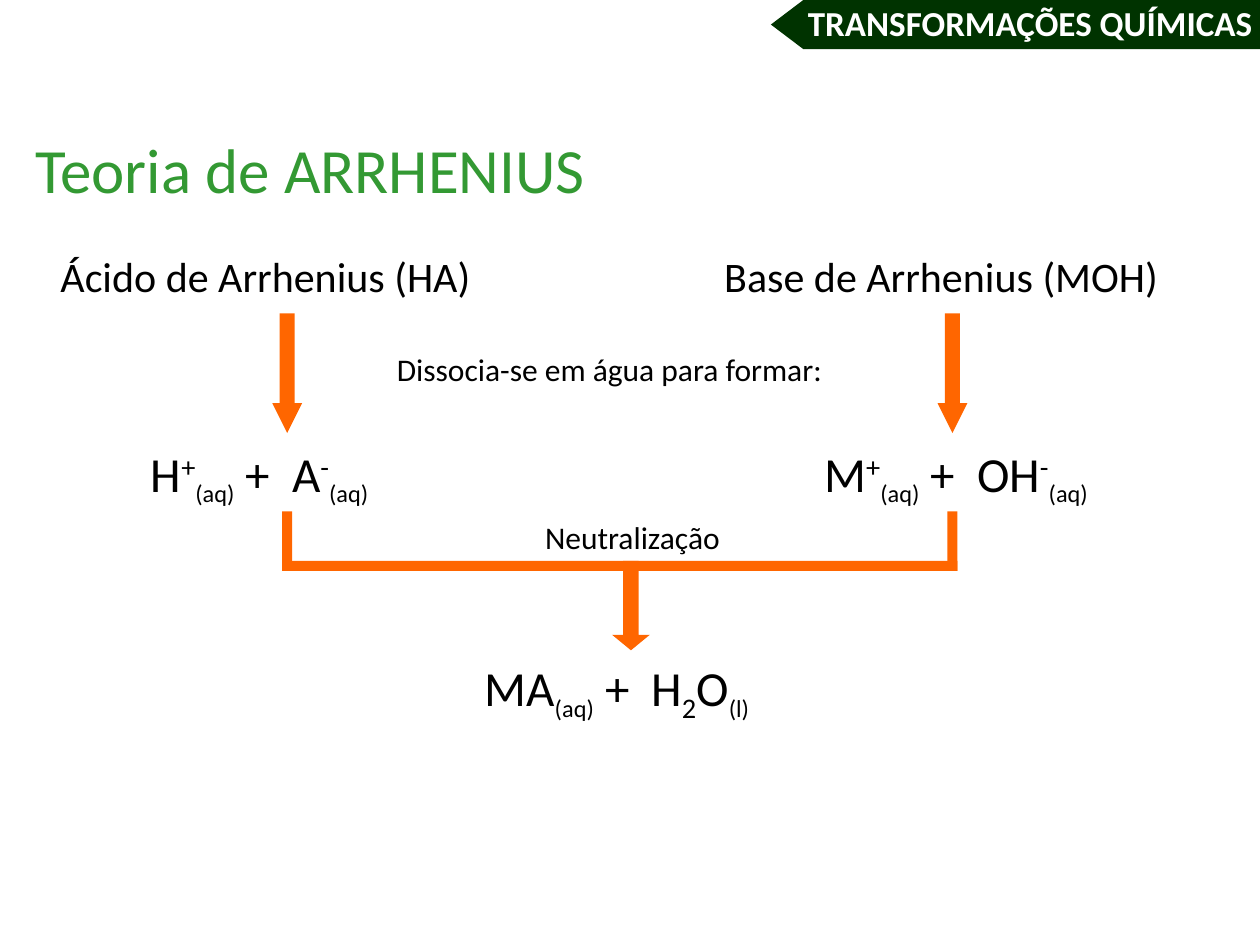
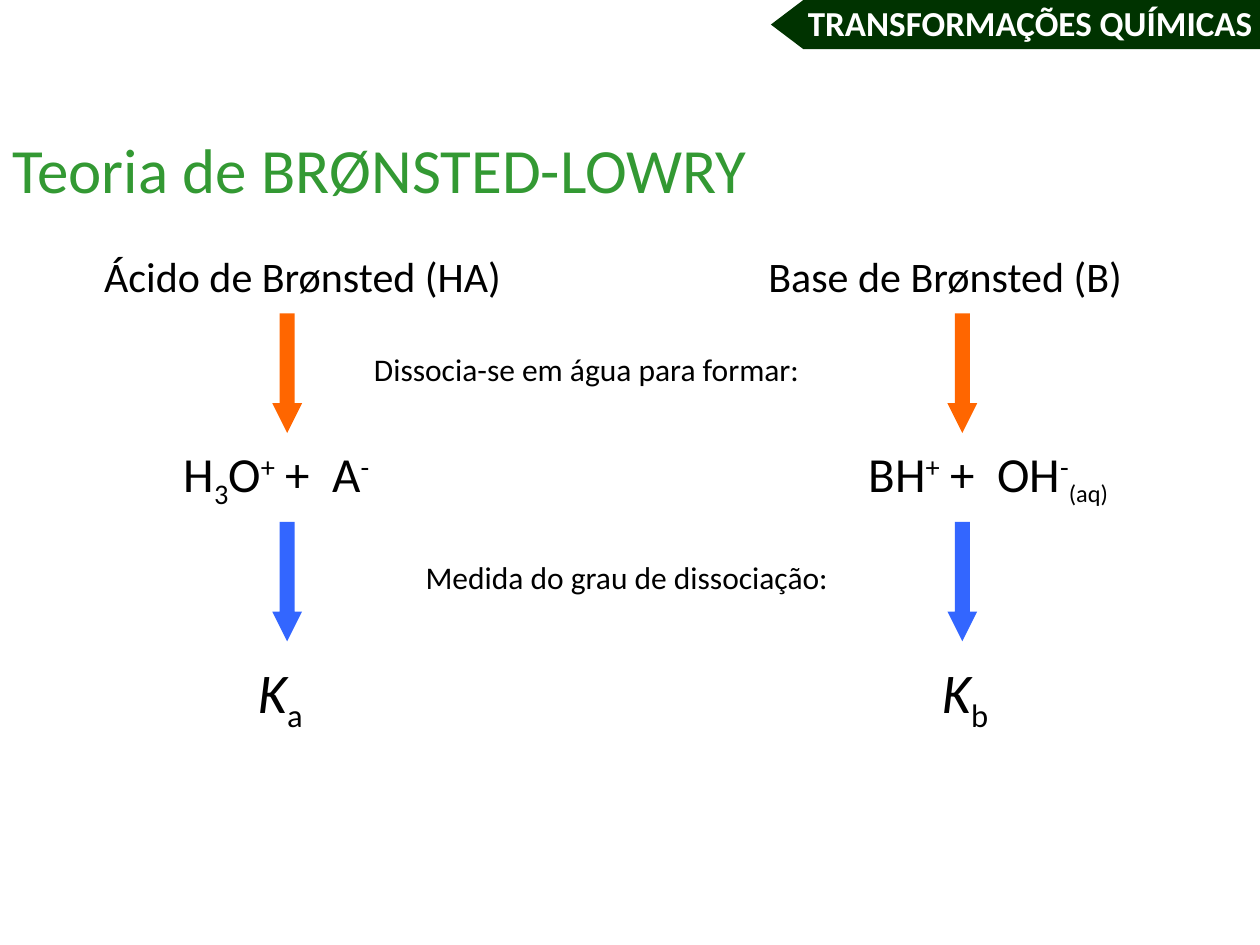
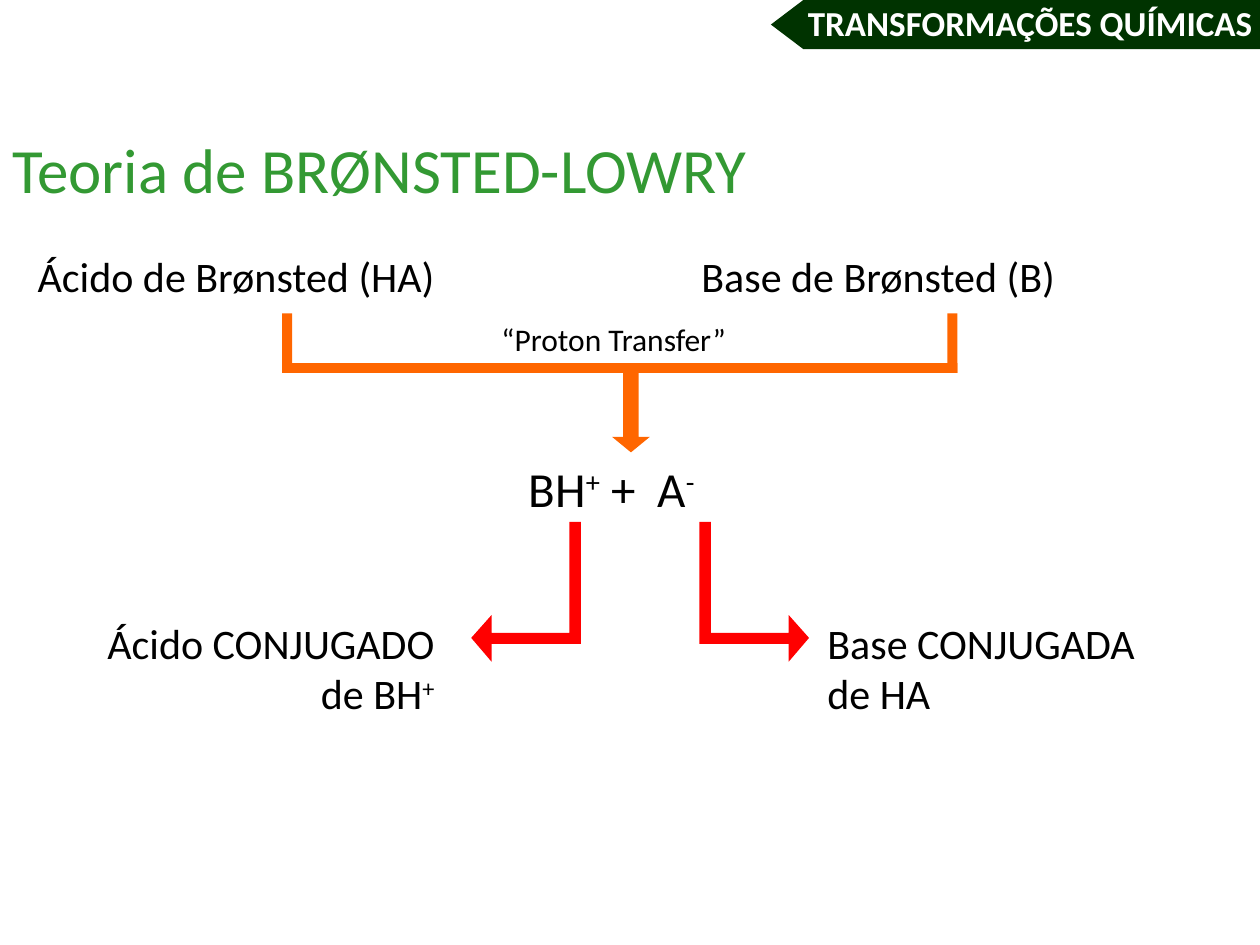
from collections import namedtuple

from pptx import Presentation
from pptx.dml.color import RGBColor
from pptx.enum.shapes import MSO_SHAPE
from pptx.enum.text import PP_ALIGN
from pptx.util import Cm, Pt

RECTANGLE = MSO_SHAPE.RECTANGLE
DOWN_ARROW = MSO_SHAPE.DOWN_ARROW
PENTAGON = MSO_SHAPE.PENTAGON
LEFT, CENTER, RIGHT = PP_ALIGN.LEFT, PP_ALIGN.CENTER, PP_ALIGN.RIGHT

FONT = "Calibri"
BLACK, WHITE = "000000", "FFFFFF"
DARK_GREEN, GREEN = "003300", "339933"
ORANGE, BLUE, RED = "FF6600", "3366FF", "FF0000"

Box = namedtuple("Box", "left top width height")
Style = namedtuple("Style", "baseline shrink italic spacing", defaults=(0, 0, False, 0))
PLAIN = Style()
RAISED = Style(baseline=30000)
LOWERED = Style(baseline=-25000)
STATE = Style(baseline=-25000, shrink=4)
ITALIC = Style(italic=True)
WIDE = Style(spacing=630)

PLUS = [(" +", PLAIN), (" ", WIDE)]
AQUEOUS = ("(aq)", STATE)
CATION = ("+", RAISED)
ANION = ("-", RAISED)

LABEL_TOP, ARROW_TOP, FORMULA_TOP = 4.93, 6.32, 8.81
CAPTION_TOP, RESULT_TOP = 6.93, 13.13
ARROW_LEFT = 5.49
BRACKET_LEFT, BRACKET_WIDTH = 5.69, 13.61


def color(value):
    return RGBColor.from_string(value)


def paint(shape, fill):
    shape.shadow.inherit = False
    shape.fill.solid()
    shape.fill.fore_color.rgb = color(fill)
    shape.line.fill.background()
    return shape


def add_block(page, kind, box, fill):
    shape = page.shapes.add_shape(kind, *(Cm(length) for length in box))
    return paint(shape, fill)


def add_text(page, box, lines, size, ink=BLACK, align=LEFT, bold=False):
    frame = page.shapes.add_textbox(*(Cm(length) for length in box)).text_frame
    frame.word_wrap = True
    for index, line in enumerate(lines):
        para = frame.paragraphs[0] if index == 0 else frame.add_paragraph()
        para.alignment = align
        for text, style in line:
            span = para.add_run()
            span.text = text
            span.font.name = FONT
            span.font.size = Pt(size - style.shrink)
            span.font.bold = bold
            span.font.italic = style.italic
            span.font.color.rgb = color(ink)
            properties = span.font._element
            if style.baseline:
                properties.set("baseline", str(style.baseline))
            if style.spacing:
                properties.set("spc", str(style.spacing))


def add_header(page, box):
    band = add_block(page, PENTAGON, box, DARK_GREEN)
    band.rotation = 180
    band.adjustments[0] = 0.66
    words = Box(box.left + 0.44, box.top - 0.1, 9.58, 1.12)
    add_text(page, words, [[("TRANSFORMAÇÕES QUÍMICAS", PLAIN)]], 20, WHITE, CENTER, True)


def add_title(page, left, width, text):
    add_text(page, Box(left, 2.51, width, 1.8), [[(text, PLAIN)]], 36, GREEN)


def add_label(page, left, width, text):
    add_text(page, Box(left, LABEL_TOP, width, 1.3), [[(text, PLAIN)]], 24)


def add_caption(page, left, top, width, text):
    add_text(page, Box(left, top, width, 1.02), [[(text, PLAIN)]], 18)


def add_formula(page, left, top, width, spans, size=28):
    add_text(page, Box(left, top, width, 1.45), [spans], size)


def add_arrow(page, box, fill, shaft, head):
    arrow = add_block(page, DOWN_ARROW, box, fill)
    arrow.adjustments[0] = shaft
    arrow.adjustments[1] = head


def add_arrow_pair(page, lefts, top, fill):
    for left in lefts:
        add_arrow(page, Box(left, top, 0.6, 2.41), fill, 0.5, 1.0)


def add_bracket(page, box):
    bar = 0.2
    for left in (box.left, box.left + box.width - bar):
        add_block(page, RECTANGLE, Box(left, box.top, bar, box.height), ORANGE)
    bar_top = box.top + box.height - bar
    add_block(page, RECTANGLE, Box(box.left, bar_top, box.width, bar), ORANGE)
    add_arrow(page, Box(box.left + 6.65, bar_top, 0.76, 1.8), ORANGE, 0.41, 0.41)


def add_elbow_arrow(page, left, top, direction):
    outline = [(0, 0), (0, 2.46), (1.8, 2.46), (1.8, 2.82), (2.21, 2.34),
               (1.8, 1.88), (1.8, 2.24), (0.23, 2.24), (0.23, 0)]
    points = [(Cm(left + direction * across), Cm(top + down)) for across, down in outline]
    builder = page.shapes.build_freeform(*points[0], scale=1.0)
    builder.add_line_segments(points[1:], close=True)
    paint(builder.convert_to_shape(), RED)


def start_page(deck, title, left, width):
    page = deck.slides.add_slide(deck.slide_layouts[6])
    add_header(page, Box(15.54, 0, 9.93, 0.99))
    add_title(page, left, width, title)
    return page


def build_arrhenius(deck):
    page = start_page(deck, "Teoria de ARRHENIUS", 0.46, 11.71)
    add_label(page, 0.97, 8.86, "Ácido de Arrhenius (HA)")
    add_label(page, 14.35, 9.35, "Base de Arrhenius (MOH)")
    add_caption(page, 7.75, CAPTION_TOP, 9.2, "Dissocia-se em água para formar:")
    add_arrow_pair(page, (ARROW_LEFT, 18.9), ARROW_TOP, ORANGE)
    add_formula(page, 2.79, FORMULA_TOP, 5.56,
                [("H", PLAIN), CATION, AQUEOUS, *PLUS, ("A", PLAIN), ANION, AQUEOUS])
    add_formula(page, 16.37, FORMULA_TOP, 6.5,
                [("M", PLAIN), CATION, AQUEOUS, *PLUS, ("OH", PLAIN), ANION, AQUEOUS])
    add_bracket(page, Box(BRACKET_LEFT, 10.31, BRACKET_WIDTH, 1.2))
    add_caption(page, 10.74, 10.31, 4.06, "Neutralização")
    add_formula(page, 9.52, RESULT_TOP, 6.45,
                [("MA", PLAIN), AQUEOUS, *PLUS, ("H", PLAIN), ("2", LOWERED),
                 ("O", PLAIN), ("(l)", STATE)])


def build_bronsted(deck):
    page = start_page(deck, "Teoria de BRØNSTED-LOWRY", 0, 15.44)
    add_label(page, 1.85, 8.59, "Ácido de Brønsted (HA)")
    add_label(page, 15.24, 7.72, "Base de Brønsted (B)")
    add_caption(page, 7.29, CAPTION_TOP, 9.2, "Dissocia-se em água para formar:")
    add_caption(page, 8.33, 11.13, 8.74, "Medida do grau de dissociação:")
    for top, fill in ((ARROW_TOP, ORANGE), (10.52, BLUE)):
        add_arrow_pair(page, (ARROW_LEFT, 19.1), top, fill)
    add_formula(page, 3.45, FORMULA_TOP, 4.72,
                [("H", PLAIN), ("3", LOWERED), ("O", PLAIN), CATION, *PLUS,
                 ("A", PLAIN), ANION])
    add_formula(page, 17.26, FORMULA_TOP, 5.89,
                [("BH", PLAIN), CATION, *PLUS, ("OH", PLAIN), ANION, AQUEOUS])
    for left, letter in ((4.95, "a"), (18.74, "b")):
        add_formula(page, left, RESULT_TOP, 1.75, [("K", ITALIC), (letter, LOWERED)], 32)


def build_conjugates(deck):
    page = start_page(deck, "Teoria de BRØNSTED-LOWRY", 0, 15.44)
    add_label(page, 0.51, 8.59, "Ácido de Brønsted (HA)")
    add_label(page, 13.89, 7.72, "Base de Brønsted (B)")
    add_bracket(page, Box(BRACKET_LEFT, ARROW_TOP, BRACKET_WIDTH, 1.2))
    add_caption(page, 9.86, ARROW_TOP, 5.08, "“Proton Transfer”")
    add_formula(page, 10.41, 9.12, 4.27,
                [("BH", PLAIN), CATION, *PLUS, ("A", PLAIN), ANION])
    add_elbow_arrow(page, 14.1, 10.52, 1)
    add_elbow_arrow(page, 11.71, 10.52, -1)
    add_text(page, Box(16.43, 12.32, 6.76, 2.31),
             [[("Base CONJUGADA", PLAIN)], [("de HA", PLAIN)]], 24)
    add_text(page, Box(1.85, 12.32, 7.16, 2.31),
             [[("Ácido CONJUGADO", PLAIN)], [("de BH", PLAIN), CATION]], 24, align=RIGHT)


def main():
    deck = Presentation()
    deck.slide_width, deck.slide_height = Cm(25.4), Cm(19.05)
    build_arrhenius(deck)
    build_bronsted(deck)
    build_conjugates(deck)
    deck.save("out.pptx")


if __name__ == "__main__":
    main()
